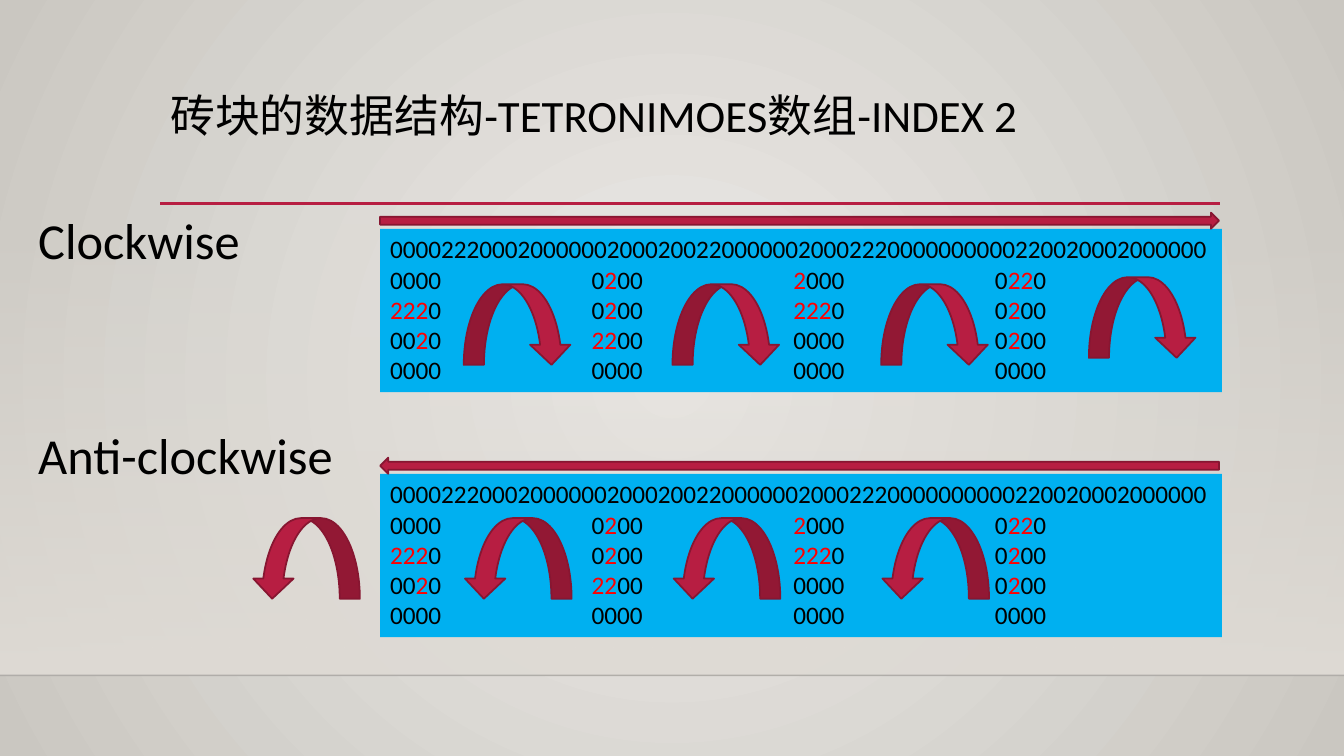
from itertools import groupby

from pptx import Presentation
from pptx.dml.color import RGBColor
from pptx.enum.shapes import MSO_CONNECTOR as Connector, MSO_SHAPE as Shape
from pptx.enum.text import MSO_ANCHOR as Anchor, PP_ALIGN as Align
from pptx.oxml import parse_xml
from pptx.oxml.ns import nsdecls, qn
from pptx.util import Inches, Pt

FONT = "Calibri"
BLACK = RGBColor(0x00, 0x00, 0x00)
RED = RGBColor(0xFF, 0x00, 0x00)
CRIMSON = RGBColor(0xB7, 0x1E, 0x42)
DARK_CRIMSON = RGBColor(0x87, 0x16, 0x31)
BLUE = RGBColor(0x00, 0xB0, 0xF0)
FLOOR_EDGE = RGBColor(0x00, 0x00, 0x01)
CENTRE = RGBColor(0xEC, 0xEA, 0xE7)
CORNER = RGBColor(0xCA, 0xC7, 0xC1)
WALL = RGBColor(0xDF, 0xDB, 0xD5)

RADIAL = ('<a:path path="circle"><a:fillToRect l="50000" t="50000" '
          'r="50000" b="50000"/></a:path>')
DOWNWARD = '<a:lin ang="5400000" scaled="0"/>'

SLIDE_WIDTH, SLIDE_HEIGHT = 13.33, 7.5
FLOOR_TOP = 6.7
PANEL_WIDTH, PANEL_HEIGHT = 8.35, 1.62
ARROW_LENGTH, ARROW_HEIGHT = 8.32, 0.16
TURN_WIDTH, TURN_HEIGHT = 1.07, 0.8
COLUMN_PITCH = 2

# The four rotations of the brick, each as four rows
ROTATIONS = [
    ["0000", "2220", "0020", "0000"],
    ["0200", "0200", "2200", "0000"],
    ["2000", "2220", "0000", "0000"],
    ["0220", "0200", "0200", "0000"],
]
FLAT_ARRAY = "0000222000200000020002002200000020002220000000000220020002000000"


def set_gradient(fill, owner, stops, direction):
    """Fill with (position, colour, opacity) stops along the given direction."""
    fill.gradient()
    gradient = owner.find(".//" + qn("a:gradFill"))
    stop_xml = "".join(
        f'<a:gs pos="{position * 1000}"><a:srgbClr val="{color}">'
        f'<a:alpha val="{opacity * 1000}"/></a:srgbClr></a:gs>'
        for position, color, opacity in stops)
    gradient.getparent().replace(gradient, parse_xml(
        f'<a:gradFill {nsdecls("a")} rotWithShape="1"><a:gsLst>{stop_xml}'
        f'</a:gsLst>{direction}</a:gradFill>'))


def add_span(para, text, size, color=BLACK):
    span = para.add_run()
    span.text = text
    span.font.name = FONT
    span.font.size = Pt(size)
    span.font.color.rgb = color


def add_text(page, text, left, top, width, height, size, wrap=False, spacing=None):
    box = page.shapes.add_textbox(Inches(left), Inches(top), Inches(width), Inches(height))
    box.text_frame.word_wrap = wrap
    para = box.text_frame.paragraphs[0]
    para.line_spacing = spacing
    add_span(para, text, size)


def add_block(page, kind, left, top, width, height, color=None, outline=None):
    block = page.shapes.add_shape(
        kind, Inches(left), Inches(top), Inches(width), Inches(height))
    block.shadow.inherit = False
    if color is not None:
        block.fill.solid()
        block.fill.fore_color.rgb = color
    if outline is None:
        block.line.fill.background()
    else:
        block.line.color.rgb = outline
        block.line.width = Pt(1.25)
    return block


def add_rule(page, left, right, y, color, width):
    rule = page.shapes.add_connector(
        Connector.STRAIGHT, Inches(left), Inches(y), Inches(right), Inches(y))
    rule.line.color.rgb = color
    rule.line.width = Pt(width)
    rule._element.spPr.append(parse_xml(f'<a:effectLst {nsdecls("a")}/>'))
    return rule


def add_backdrop(page):
    set_gradient(page.background.fill, page.element,
                 [(0, CENTRE, 100), (100, CORNER, 100)], RADIAL)
    wall = add_block(page, Shape.RECTANGLE, 0, 2.21, SLIDE_WIDTH, FLOOR_TOP - 2.21)
    set_gradient(wall.fill, wall._element, [(0, WALL, 0), (100, WALL, 100)], DOWNWARD)
    edge = add_rule(page, 0, SLIDE_WIDTH, FLOOR_TOP, FLOOR_EDGE, 1)
    edge_color = edge._element.find(".//" + qn("a:srgbClr"))
    edge_color.append(parse_xml(f'<a:alpha {nsdecls("a")} val="20000"/>'))


def add_title(page, left, top, width, height):
    add_rule(page, left, 12.1, 2.02, CRIMSON, 2.5)
    add_text(page, "砖块的数据结构-TETRONIMOES数组-INDEX 2",
             left, top, width, height, 32, wrap=True, spacing=0.9)


def add_array_panel(page, left, top):
    """Blue panel with the flat array above its four rotations, bricks in red."""
    panel = add_block(page, Shape.RECTANGLE, left, top, PANEL_WIDTH, PANEL_HEIGHT, BLUE)
    frame = panel.text_frame
    frame.word_wrap = True
    frame.vertical_anchor = Anchor.TOP
    first = frame.paragraphs[0]
    first.alignment = Align.LEFT
    add_span(first, FLAT_ARRAY, 18)
    stops = "".join(f'<a:tab pos="{Inches(COLUMN_PITCH * column)}" algn="l"/>'
                    for column in range(1, len(ROTATIONS)))
    for row in zip(*ROTATIONS):
        para = frame.add_paragraph()
        para.alignment = Align.LEFT
        para._p.get_or_add_pPr().append(
            parse_xml(f'<a:tabLst {nsdecls("a")}>{stops}</a:tabLst>'))
        for filled, digits in groupby("\t".join(row), lambda digit: digit == "2"):
            add_span(para, "".join(digits), 18, RED if filled else BLACK)


def add_direction(page, left, top, label, label_width, turns, clockwise):
    """One turning direction; turns are (x, y) offsets from the panel corner."""
    add_text(page, label, 0.28, top - (0.24 if clockwise else 0.54),
             label_width, 0.71, 36)
    add_array_panel(page, left, top)
    arrow = add_block(page, Shape.RIGHT_ARROW, left, top - ARROW_HEIGHT,
                      ARROW_LENGTH, ARROW_HEIGHT, CRIMSON, DARK_CRIMSON)
    arrow.rotation = 0 if clockwise else 180
    for x, y in turns:
        turn = add_block(page, Shape.CURVED_DOWN_ARROW, left + x, top + y,
                         TURN_WIDTH, TURN_HEIGHT, CRIMSON, DARK_CRIMSON)
        if not clockwise:
            turn._element.spPr.find(qn("a:xfrm")).set("flipH", "1")


def main():
    deck = Presentation()
    deck.slide_width, deck.slide_height = Inches(SLIDE_WIDTH), Inches(SLIDE_HEIGHT)
    page = deck.slides.add_slide(deck.slide_layouts[6])
    add_backdrop(page)
    add_title(page, 1.59, 0.88, 10.5, 1.15)
    gaps = [0.83 + 2.07 * index for index in range(3)]
    add_direction(page, 3.77, 2.27, "Clockwise", 2.32,
                  [(x, 0.55) for x in gaps] + [(7.03, 0.48)], clockwise=True)
    add_direction(page, 3.77, 4.7, "Anti-clockwise", 3.22,
                  [(x, 0.44) for x in [-1.27] + gaps], clockwise=False)
    deck.save("out.pptx")


if __name__ == "__main__":
    main()
